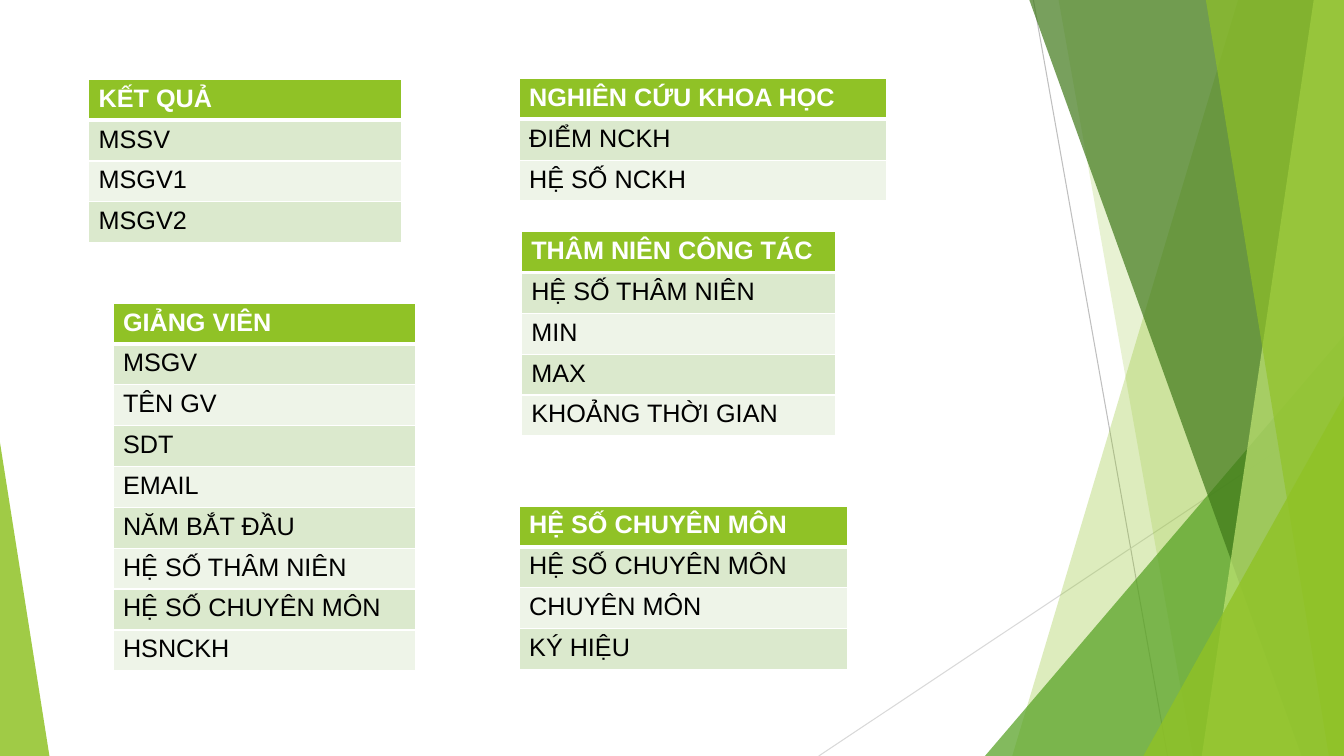
from lxml.etree import SubElement
from pptx import Presentation
from pptx.dml.color import RGBColor
from pptx.enum.shapes import MSO_CONNECTOR as Connector, MSO_SHAPE as Shape
from pptx.oxml.ns import qn
from pptx.util import Inches, Pt

WIDTH, HEIGHT = Inches(13.33), Inches(7.5)
COLUMNS, ROWS = 32, 18.5  # one grid row holds one table row
GREEN, WHITE, BLACK = "90C226", "FFFFFF", "000000"
BANDS = ("DBE9CD", "EEF4E8")


def color(value):
    return RGBColor.from_string(value)


class SlideBuilder:
    """Holds the slide and its style; facets use percent, tables use the grid."""
    font, size = "Arial", Pt(18)

    def __init__(self, slide):
        self.shapes = slide.shapes

    def percent(self, x, y):
        return round(WIDTH * x / 100), round(HEIGHT * y / 100)

    def grid(self, column, row):
        return round(WIDTH * column / COLUMNS), round(HEIGHT * row / ROWS)

    def line(self, start, end, stroke):
        connector = self.shapes.add_connector(
            Connector.STRAIGHT, *self.percent(*start), *self.percent(*end))
        connector.line.color.rgb = color(stroke)
        connector.line.width = Pt(0.75)
        SubElement(connector._element.spPr, qn("a:effectLst"))

    def paint(self, shape, fill, opacity):
        shape.shadow.inherit = False
        shape.line.fill.background()
        shape.fill.solid()
        shape.fill.fore_color.rgb = color(fill)
        tint = shape._element.spPr.find(qn("a:solidFill"))[0]
        SubElement(tint, qn("a:alpha"), val=str(opacity * 1000))

    def facet(self, top, bottom, fill, opacity):
        """Full-height panel from a slanted left edge to the slide's right edge."""
        builder = self.shapes.build_freeform(*self.percent(top, 0))
        corners = [(100, 0), (100, 100), (bottom, 100)]
        builder.add_line_segments([self.percent(*corner) for corner in corners])
        self.paint(builder.convert_to_shape(), fill, opacity)

    def triangle(self, left, top, width, apex, fill, opacity):
        """Right triangle standing on the slide's bottom edge."""
        shape = self.shapes.add_shape(
            Shape.ISOSCELES_TRIANGLE, *self.percent(left, top),
            *self.percent(width, 100 - top))
        shape.adjustments[0] = apex
        self.paint(shape, fill, opacity)

    def borders(self, cell, top, bottom):
        properties = cell._tc.get_or_add_tcPr()
        for side, points in (("L", 1), ("R", 1), ("T", top), ("B", bottom)):
            border = SubElement(properties, qn(f"a:ln{side}"), w=str(Pt(points)))
            fill = SubElement(border, qn("a:solidFill"))
            SubElement(fill, qn("a:srgbClr"), val=WHITE)

    def table(self, column, row, width, header, *fields):
        entries = (header, *fields)
        frame = self.shapes.add_table(
            len(entries), 1, *self.grid(column, row),
            *self.grid(width, len(entries)))
        for index, text in enumerate(entries):
            is_header = index == 0
            cell = frame.table.cell(index, 0)
            self.borders(cell, 3 if index == 1 else 1, 3 if is_header else 1)
            cell.fill.solid()
            cell.fill.fore_color.rgb = color(
                GREEN if is_header else BANDS[(index - 1) % 2])
            cell.text = text
            font = cell.text_frame.paragraphs[0].font
            font.name, font.size, font.bold = self.font, self.size, is_header
            font.color.rgb = color(WHITE if is_header else BLACK)


presentation = Presentation()
presentation.slide_width, presentation.slide_height = WIDTH, HEIGHT
builder = SlideBuilder(
    presentation.slides.add_slide(presentation.slide_layouts[6]))

# Faceted background
builder.line((76.89, 0), (86.87, 100), "BFBFBF")
builder.line((100, 53.73), (60.92, 100), "D9D9D9")
builder.facet(92.12, 75.32, GREEN, 30)
builder.facet(78.77, 88.75, GREEN, 20)
builder.triangle(73.29, 44.4, 26.71, 1, "54A021", 72)
builder.facet(76.59, 96.85, "3F7819", 70)
builder.facet(97.75, 89.42, "C0E474", 70)
builder.facet(89.72, 98.87, GREEN, 65)
builder.triangle(85.07, 52.4, 14.93, 1, GREEN, 80)
builder.triangle(0, 58.53, 3.68, 0, GREEN, 85)

# Entity tables
builder.table(2.11, 1.94, 7.46, "KẾT QUẢ", "MSSV", "MSGV1", "MSGV2")
builder.table(12.36, 1.92, 8.76, "NGHIÊN CỨU KHOA HỌC", "ĐIỂM NCKH", "HỆ SỐ NCKH")
builder.table(2.69, 7.42, 7.2, "GIẢNG VIÊN", "MSGV", "TÊN GV", "SDT", "EMAIL",
              "NĂM BẮT ĐẦU", "HỆ SỐ THÂM NIÊN", "HỆ SỐ CHUYÊN MÔN", "HSNCKH")
builder.table(12.41, 5.67, 7.49, "THÂM NIÊN CÔNG TÁC", "HỆ SỐ THÂM NIÊN",
              "MIN", "MAX", "KHOẢNG THỜI GIAN")
builder.table(12.36, 12.38, 7.82, "HỆ SỐ CHUYÊN MÔN", "HỆ SỐ CHUYÊN MÔN",
              "CHUYÊN MÔN", "KÝ HIỆU")

presentation.save("out.pptx")
